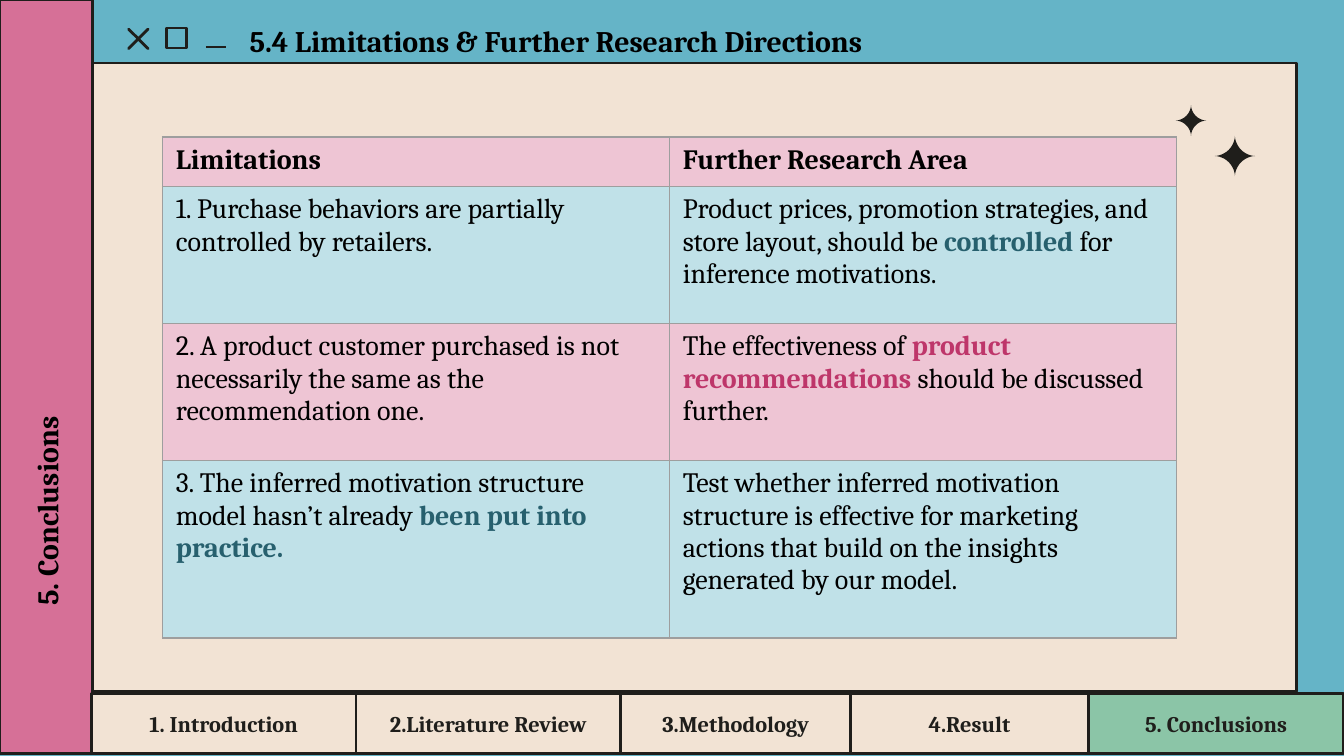
from itertools import pairwise
from math import cos, copysign, pi, sin

from lxml import etree
from pptx import Presentation
from pptx.dml.color import RGBColor
from pptx.enum import shapes, text
from pptx.oxml import ns
from pptx import util as u

COLORS = {
    "sky": "65B4C7", "cream": "F2E3D4", "rose": "D67097", "green": "8BC5A7",
    "ink": "1F1E1B", "black": "000000", "grid": "9E9E9E",
    "pale_rose": "EEC5D4", "pale_blue": "C0E1E8",
    "deep_rose": "BE366A", "deep_blue": "27606E",
}


def rgb(name):
    return RGBColor.from_string(COLORS[name])


def add_run(paragraph, content, size=15, color="black", bold=False):
    run = paragraph.add_run()
    run.text = content
    run.font.name = "Cambria"
    run.font.size = u.Pt(size)
    run.font.bold = bold
    run.font.color.rgb = rgb(color)


class SlideBuilder:
    def __init__(self, slide, line="ink", line_width=1.5):
        self.slide = slide
        self.line = line
        self.line_width = u.Pt(line_width)

    def background(self, color):
        fill = self.slide.background.fill
        fill.solid()
        fill.fore_color.rgb = rgb(color)

    def style(self, shape, fill=None, outlined=True):
        shape.shadow.inherit = False
        if fill:
            shape.fill.solid()
            shape.fill.fore_color.rgb = rgb(fill)
        else:
            shape.fill.background()
        if outlined:
            shape.line.color.rgb = rgb(self.line)
            shape.line.width = self.line_width
        else:
            shape.line.fill.background()

    def box(self, left, top, width, height, fill=None, kind=shapes.MSO_SHAPE.RECTANGLE):
        shape = self.slide.shapes.add_shape(kind, *map(u.Cm, (left, top, width, height)))
        self.style(shape, fill)
        return shape

    def cross(self, left, top, size):
        shape = self.box(left, top, size, size, kind=shapes.MSO_SHAPE.MATH_MULTIPLY)
        shape.adjustments[0] = 0

    def connector(self, x1, y1, x2, y2):
        line = self.slide.shapes.add_connector(
            shapes.MSO_CONNECTOR.STRAIGHT, *map(u.Cm, (x1, y1, x2, y2)))
        line.line.color.rgb = rgb(self.line)
        line.line.width = self.line_width
        etree.SubElement(line._element.spPr, ns.qn("a:effectLst"))

    def sparkle(self, x, y, radius, steps=64, pinch=3.4):
        def place(value, center):
            return u.Cm(center + radius * copysign(abs(value) ** pinch, value))

        points = [(place(cos(angle), x), place(sin(angle), y))
                  for angle in (2 * pi * step / steps for step in range(steps))]
        builder = self.slide.shapes.build_freeform(*points[0])
        builder.add_line_segments(points[1:], close=True)
        self.style(builder.convert_to_shape(), self.line, outlined=False)

    def fill_frame(self, frame, content, align=text.PP_ALIGN.LEFT, **font):
        frame.word_wrap = True
        frame.vertical_anchor = text.MSO_ANCHOR.MIDDLE
        frame.margin_left = frame.margin_right = u.Cm(0.25)
        frame.margin_top = frame.margin_bottom = u.Cm(0.25)
        paragraph = frame.paragraphs[0]
        paragraph.alignment = align
        add_run(paragraph, content, bold=True, **font)

    def heading(self, content, left, top, width, height, rotation=0):
        shape = self.slide.shapes.add_textbox(*map(u.Cm, (left, top, width, height)))
        shape.rotation = rotation
        self.fill_frame(shape.text_frame, content, size=16)

    def tab(self, content, left, right, fill):
        shape = self.box(left, 13.11, right - left, 1.14, fill)
        self.fill_frame(shape.text_frame, content, text.PP_ALIGN.CENTER, size=12, color="ink")

    def cell(self, cell, runs, fill):
        cell.fill.solid()
        cell.fill.fore_color.rgb = rgb(fill)
        for content, font in runs:
            add_run(cell.text_frame.paragraphs[0], content, **font)
        properties = cell._tc.get_or_add_tcPr()
        for index, side in enumerate(("lnL", "lnR", "lnT", "lnB")):
            border = etree.Element(ns.qn(f"a:{side}"), w=str(u.Pt(0.75)))
            solid = etree.SubElement(border, ns.qn("a:solidFill"))
            etree.SubElement(solid, ns.qn("a:srgbClr"), val=COLORS["grid"])
            properties.insert(index, border)

    def table(self, left, top, column_width, heights, rows):
        columns = len(rows[0])
        table = self.slide.shapes.add_table(
            len(rows), columns, u.Cm(left), u.Cm(top),
            u.Cm(column_width * columns), u.Cm(sum(heights))).table
        for column in table.columns:
            column.width = u.Cm(column_width)
        for index, (height, row) in enumerate(zip(heights, rows)):
            table.rows[index].height = u.Cm(height)
            fill = "pale_blue" if index % 2 else "pale_rose"
            for position, runs in enumerate(row):
                self.cell(table.cell(index, position), runs, fill)


BOLD = {"bold": True}
BLUE = {"bold": True, "color": "deep_blue"}
ROSE = {"bold": True, "color": "deep_rose"}

ROWS = [
    [[("Limitations", BOLD)], [("Further Research Area", BOLD)]],
    [[("1. Purchase behaviors are partially controlled by retailers.", {})],
     [("Product prices, promotion strategies, and store layout, should be ", {}),
      ("controlled", BLUE), (" for inference motivations.", {})]],
    [[("2. A product customer purchased is not necessarily the same as the "
       "recommendation one.", {})],
     [("The effectiveness of ", {}), ("product recommendations ", ROSE),
      ("should be discussed further.", {})]],
    [[("3. The inferred motivation structure model hasn’t already ", {}),
      ("been put into practice.", BLUE)],
     [("Test whether inferred motivation structure is effective for marketing "
       "actions that build on the insights generated by our model.", {})]],
]

TABS = ["1. Introduction", "2.Literature Review", "3.Methodology", "4.Result", "5. Conclusions"]
TAB_EDGES = [1.73, 6.73, 11.73, 16.08, 20.57, 25.4]


def main():
    presentation = Presentation()
    presentation.slide_width = u.Cm(25.4)
    presentation.slide_height = u.Cm(14.29)
    builder = SlideBuilder(presentation.slides.add_slide(presentation.slide_layouts[6]))

    builder.background("sky")
    builder.box(1.75, 1.19, 22.76, 11.89, "cream")
    builder.cross(2.26, 0.38, 0.71)
    builder.connector(3.89, 0.89, 4.27, 0.89)
    builder.box(3.15, 0.53, 0.38, 0.38)
    builder.box(0, 0, 1.75, 14.25, "rose")
    builder.sparkle(22.51, 2.28, 0.29)
    builder.sparkle(23.34, 2.95, 0.38)
    builder.heading("5.4 Limitations & Further Research Directions", 4.47, 0.1, 13.51, 1.32)
    builder.heading("5. Conclusions", -3.68, 6.48, 9.12, 1.32, rotation=270)
    builder.table(3.07, 2.59, 9.58, [0.94, 2.59, 2.59, 3.35], ROWS)
    for content, (left, right) in zip(TABS, pairwise(TAB_EDGES)):
        builder.tab(content, left, right, "green" if content == TABS[-1] else "cream")

    presentation.save("out.pptx")


if __name__ == "__main__":
    main()
